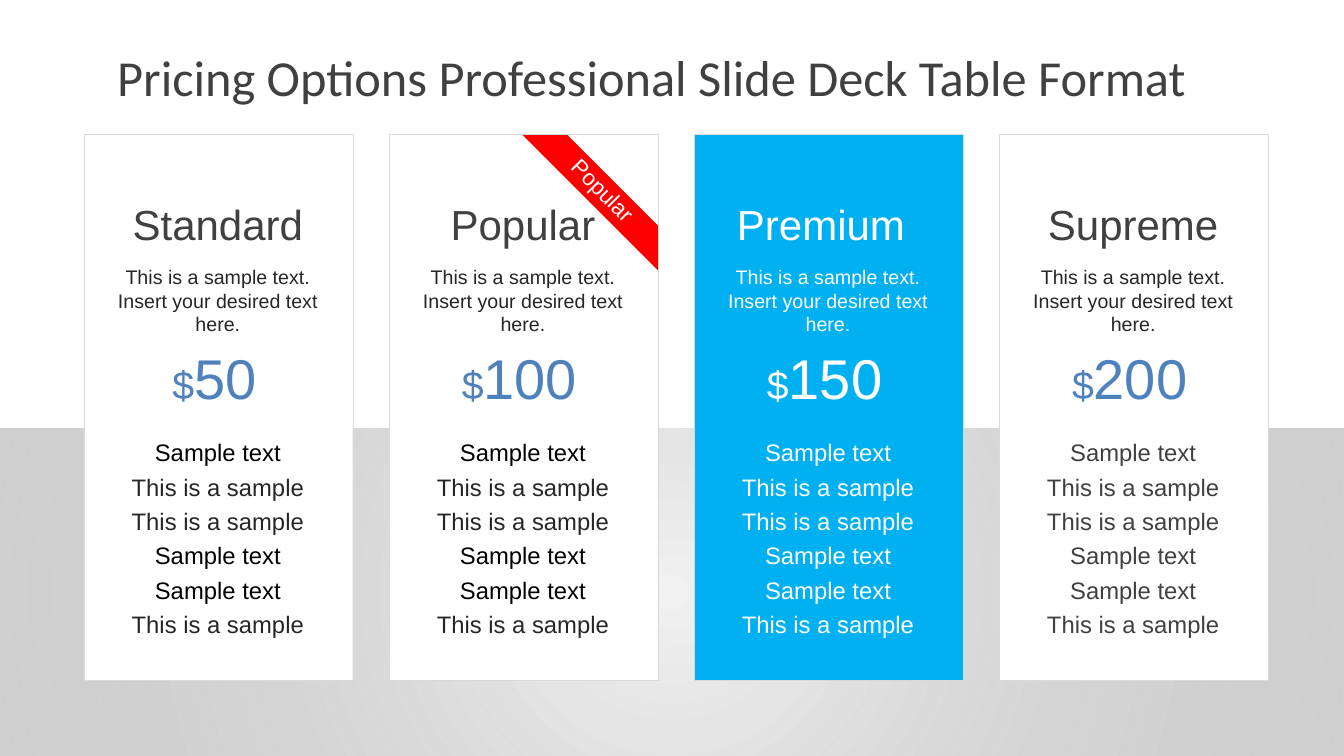
from collections import namedtuple

from pptx import Presentation
from pptx.dml.color import RGBColor
from pptx.enum.shapes import MSO_SHAPE
from pptx.enum.text import MSO_ANCHOR, PP_ALIGN
from pptx.oxml import parse_xml
from pptx.oxml.ns import nsdecls
from pptx.util import Inches, Pt

COLORS = {
    "white": "FFFFFF", "black": "000000", "ink": "262626", "heading": "404040",
    "border": "D9D9D9", "price": "4F81BD", "accent": "00B0F0", "ribbon": "FF0000",
    "floor_center": "F2F2F2", "floor_edge": "A6A6A6",
}
WIDTH, HEIGHT = 13.33, 7.5
CARD_LEFT, CARD_TOP = 0.0625 * WIDTH, 1.33
CARD_W, CARD_H = 0.2 * WIDTH, 5.42
CARD_PITCH = 0.227 * WIDTH

INTRO = ["This is a sample text.", "Insert your desired text here."]
SHORT, LONG = "Sample text", "This is a sample"
FEATURES = [SHORT, LONG, LONG, SHORT, SHORT, LONG]

# short_color and long_color style the two kinds of feature line
Plan = namedtuple("Plan", "name amount fill heading intro price short_color long_color shift")
PLANS = [
    Plan("Standard", "50", "white", "heading", "ink", "price", "black", "ink", 0),
    Plan("Popular", "100", "white", "heading", "ink", "price", "black", "ink", 0),
    Plan("Premium", "150", "accent", "white", "white", "white", "white", "white", -0.07),
    Plan("Supreme", "200", "white", "heading", "ink", "price", "heading", "heading", 0),
]


def rgb(name):
    return RGBColor.from_string(COLORS[name])


def add_block(slide, kind, x, y, w, h, fill=None, line=None):
    sp = slide.shapes.add_shape(kind, Inches(x), Inches(y), Inches(w), Inches(h))
    sp.shadow.inherit = False
    if fill:
        sp.fill.solid()
        sp.fill.fore_color.rgb = rgb(fill)
    if line:
        sp.line.color.rgb = rgb(line)
        sp.line.width = Pt(0.25)
    else:
        sp.line.fill.background()
    return sp


def add_text(slide, x, y, w, h, lines, size, colors, font="Arial", wrap=False, spacing=None):
    """Add centred lines of text, each in its own colour."""
    box = slide.shapes.add_textbox(Inches(x), Inches(y), Inches(w), Inches(h))
    tf = box.text_frame
    tf.word_wrap = wrap
    for i, (line, color) in enumerate(zip(lines, colors)):
        p = tf.paragraphs[0] if i == 0 else tf.add_paragraph()
        p.text = line
        p.alignment = PP_ALIGN.CENTER
        p.line_spacing = spacing
        p.font.name = font
        p.font.size = Pt(size)
        p.font.color.rgb = rgb(color)
    return box


def add_floor(slide, y, h):
    """Add the full-width band with a radial grey gradient."""
    sp = add_block(slide, MSO_SHAPE.RECTANGLE, 0, y, WIDTH, h)
    props = sp._element.spPr
    props.insert(2, parse_xml(
        f'<a:gradFill {nsdecls("a")} rotWithShape="1"><a:gsLst>'
        f'<a:gs pos="0"><a:srgbClr val="{COLORS["floor_center"]}"/></a:gs>'
        f'<a:gs pos="100000"><a:srgbClr val="{COLORS["floor_edge"]}">'
        '<a:alpha val="53000"/></a:srgbClr></a:gs></a:gsLst>'
        '<a:path path="circle"><a:fillToRect l="50000" t="50000" r="50000" b="50000"/>'
        '</a:path></a:gradFill>'))


def add_title(slide, x, y, w, h):
    box = add_text(slide, x, y, w, h, ["Pricing Options Professional Slide Deck Table Format"],
                   36, ["heading"], font="Calibri", wrap=True)
    box.text_frame.vertical_anchor = MSO_ANCHOR.MIDDLE


def add_ribbon(slide, right, y, side, label):
    """Add a diagonal corner band whose right edge is at the given place."""
    x = right - side
    sp = add_block(slide, MSO_SHAPE.DIAGONAL_STRIPE, x, y, side, side, "ribbon")
    sp.adjustments[0] = 0.67
    sp._element.spPr.xfrm.set("flipH", "1")
    box = add_text(slide, x + 0.31, y + 0.36, 0.97, 0.37, [label], 16, ["white"])
    box.rotation = 45


def add_card(slide, plan, x, y, w, h):
    add_block(slide, MSO_SHAPE.RECTANGLE, x, y, w, h, plan.fill, "border")
    center = x + w / 2
    add_text(slide, center - 0.96 + plan.shift, y + 0.59, 1.91, 0.61,
             [plan.name], 30, [plan.heading])
    add_text(slide, center - 1.17, y + 1.25, 2.33, 0.81, INTRO, 14, [plan.intro] * 2, wrap=True)
    price = add_text(slide, center - 0.72, y + 2.03, 1.36, 0.77, ["$"], 28, [plan.price])
    r = price.text_frame.paragraphs[0].add_run()
    r.text = plan.amount
    r.font.size = Pt(40)
    add_text(slide, center - 0.97, y + 2.91, 1.93, 2.13, FEATURES, 17,
             [plan.short_color if line == SHORT else plan.long_color for line in FEATURES],
             spacing=1.2)


def main():
    prs = Presentation()
    prs.slide_width, prs.slide_height = Inches(WIDTH), Inches(HEIGHT)
    slide = prs.slides.add_slide(prs.slide_layouts[6])
    add_floor(slide, 4.25, 3.25)
    add_title(slide, 0.8, 0.42, 11.33, 0.67)
    for i, plan in enumerate(PLANS):
        x = CARD_LEFT + i * CARD_PITCH
        add_card(slide, plan, x, CARD_TOP, CARD_W, CARD_H)
        if plan.name == "Popular":
            add_ribbon(slide, x + CARD_W, CARD_TOP + 0.01, 1.34, plan.name)
    prs.save("out.pptx")


if __name__ == "__main__":
    main()
